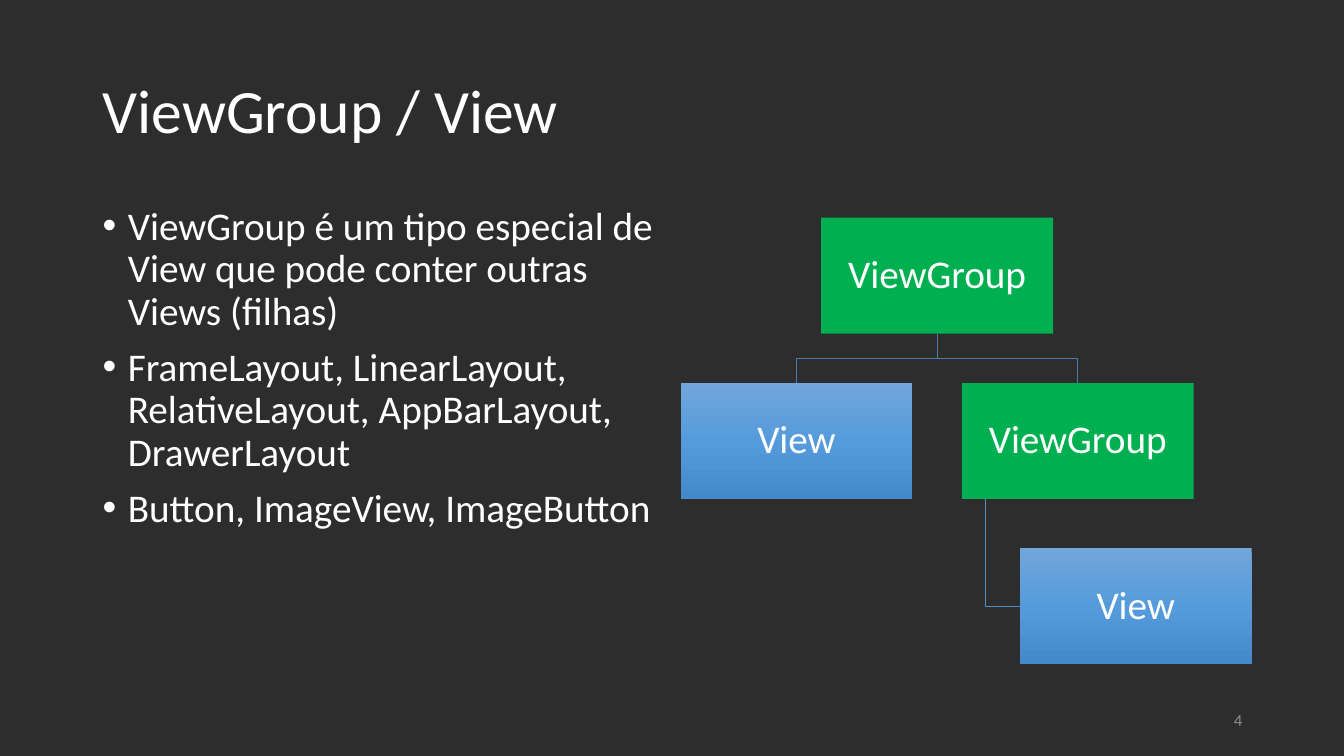
from copy import deepcopy

from lxml.etree import SubElement
from pptx import Presentation
from pptx.dml.color import RGBColor
from pptx.enum.shapes import MSO_SHAPE
from pptx.enum.text import MSO_ANCHOR, PP_ALIGN
from pptx.oxml.ns import qn
from pptx.util import Inches, Pt

BACKGROUND = RGBColor(0x2D, 0x2D, 0x2D)
WHITE = RGBColor(0xFF, 0xFF, 0xFF)
NUMBER_GRAY = RGBColor(0x8C, 0x8C, 0x8C)
GROUP_GREEN = RGBColor(0x00, 0xB0, 0x50)
BRANCH_BLUE = RGBColor(0x49, 0x7C, 0xAB)
STEM_BLUE = RGBColor(0x53, 0x8D, 0xC1)
VIEW_GRADIENT = (
    (0, RGBColor(0x71, 0xA6, 0xDB)),
    (0.5, RGBColor(0x55, 0x9B, 0xDB)),
    (1, RGBColor(0x44, 0x8A, 0xCA)),
)

SLIDE_WIDTH, SLIDE_HEIGHT = 13.33, 7.5
TREE_LEFT, TREE_TOP = 6.75, 2.16
BOX_WIDTH, BOX_HEIGHT, GAP = 2.3, 1.15, 0.49
COLUMN_STEP, ROW_STEP = BOX_WIDTH + GAP, BOX_HEIGHT + GAP
CHILD_INDENT, STEM_INDENT = BOX_WIDTH / 4, BOX_WIDTH / 10

TITLE_FORMAT = {"size": Pt(44), "name": "Calibri"}
TEXT_FORMAT = {"size": Pt(28), "name": "Calibri"}
NUMBER_FORMAT = {"size": Pt(12), "name": "Calibri"}
TIGHT_FRAME = {
    "word_wrap": True,
    "vertical_anchor": MSO_ANCHOR.MIDDLE,
    **{f"margin_{side}": Inches(0.02) for side in ("left", "top", "right", "bottom")},
}
MIDDLE_FRAME = {"word_wrap": True, "vertical_anchor": MSO_ANCHOR.MIDDLE}
TOP_FRAME = {"word_wrap": True, "vertical_anchor": MSO_ANCHOR.TOP}

BULLETS = (
    "ViewGroup é um tipo especial de View que pode conter outras Views (filhas)",
    "FrameLayout, LinearLayout, RelativeLayout, AppBarLayout, DrawerLayout",
    "Button, ImageView, ImageButton",
)


def apply_format(target, values):
    for name, value in values.items():
        setattr(target, name, value)


def write_paragraph(paragraph, text, font_format, color, paragraph_format):
    run = paragraph.add_run()
    run.text = text
    apply_format(run.font, font_format)
    run.font.color.rgb = color
    apply_format(paragraph, {"line_spacing": 0.9, **paragraph_format})


def add_text(slide, box, text, font_format, color, alignment=PP_ALIGN.LEFT):
    shape = slide.shapes.add_textbox(*map(Inches, box))
    apply_format(shape.text_frame, MIDDLE_FRAME)
    write_paragraph(shape.text_frame.paragraphs[0], text, font_format, color,
                    {"alignment": alignment})


def add_bullet_list(slide, box, items):
    shape = slide.shapes.add_textbox(*map(Inches, box))
    frame = shape.text_frame
    apply_format(frame, TOP_FRAME)
    for index, item in enumerate(items):
        paragraph = frame.add_paragraph() if index else frame.paragraphs[0]
        write_paragraph(paragraph, item, TEXT_FORMAT, WHITE, {"space_before": Pt(10)})
        properties = paragraph._p.get_or_add_pPr()
        properties.set("marL", str(Inches(0.25)))
        properties.set("indent", str(-Inches(0.25)))
        SubElement(properties, qn("a:buFont"), typeface="Arial")
        SubElement(properties, qn("a:buChar"), char="•")


def fill_with_gradient(shape, colors):
    shape.fill.gradient()
    shape.fill.gradient_angle = 270
    stop_list = shape.element.spPr.find(".//" + qn("a:gsLst"))
    stop_list.insert(1, deepcopy(stop_list[0]))
    for stop, (position, color) in zip(shape.fill.gradient_stops, colors):
        stop.position = position
        stop.color.rgb = color


def add_node(slide, left, top, text):
    box = map(Inches, (left, top, BOX_WIDTH, BOX_HEIGHT))
    shape = slide.shapes.add_shape(MSO_SHAPE.RECTANGLE, *box)
    shape.shadow.inherit = False
    shape.line.fill.background()
    if text == "ViewGroup":
        shape.fill.solid()
        shape.fill.fore_color.rgb = GROUP_GREEN
    else:
        fill_with_gradient(shape, VIEW_GRADIENT)
    apply_format(shape.text_frame, TIGHT_FRAME)
    write_paragraph(shape.text_frame.paragraphs[0], text, TEXT_FORMAT, WHITE,
                    {"alignment": PP_ALIGN.CENTER})


def add_branch(slide, points, color):
    start, *others = [(Inches(x), Inches(y)) for x, y in points]
    builder = slide.shapes.build_freeform(*start, scale=1.0)
    builder.add_line_segments(others, close=False)
    shape = builder.convert_to_shape()
    shape.shadow.inherit = False
    shape.fill.background()
    shape.line.color.rgb = color
    shape.line.width = Pt(0.5)


def add_tree(slide):
    root_left = TREE_LEFT + COLUMN_STEP / 2
    group_left = TREE_LEFT + COLUMN_STEP
    leaf_left = group_left + CHILD_INDENT
    row_tops = [TREE_TOP + row * ROW_STEP for row in range(3)]

    stem_x = group_left + STEM_INDENT
    leaf_middle = row_tops[2] + BOX_HEIGHT / 2
    add_branch(slide, [(stem_x, row_tops[1] + BOX_HEIGHT), (stem_x, leaf_middle),
                       (leaf_left, leaf_middle)], STEM_BLUE)

    root_x = root_left + BOX_WIDTH / 2
    fork_y = row_tops[1] - GAP / 2
    for child_left in (group_left, TREE_LEFT):
        child_x = child_left + BOX_WIDTH / 2
        add_branch(slide, [(root_x, row_tops[0] + BOX_HEIGHT), (root_x, fork_y),
                           (child_x, fork_y), (child_x, row_tops[1])], BRANCH_BLUE)

    for left, row, text in (
        (root_left, 0, "ViewGroup"),
        (TREE_LEFT, 1, "View"),
        (group_left, 1, "ViewGroup"),
        (leaf_left, 2, "View"),
    ):
        add_node(slide, left, row_tops[row], text)


def main():
    presentation = Presentation()
    presentation.slide_width = Inches(SLIDE_WIDTH)
    presentation.slide_height = Inches(SLIDE_HEIGHT)
    slide = presentation.slides.add_slide(presentation.slide_layouts[6])
    slide.background.fill.solid()
    slide.background.fill.fore_color.rgb = BACKGROUND

    add_text(slide, (0.92, 0.4, 11.5, 1.45), "ViewGroup / View", TITLE_FORMAT, WHITE)
    add_text(slide, (9.42, 6.95, 3, 0.4), "4", NUMBER_FORMAT, NUMBER_GRAY, PP_ALIGN.RIGHT)
    add_tree(slide)
    add_bullet_list(slide, (0.92, 2, 5.67, 4.76), BULLETS)
    presentation.save("out.pptx")


if __name__ == "__main__":
    main()
